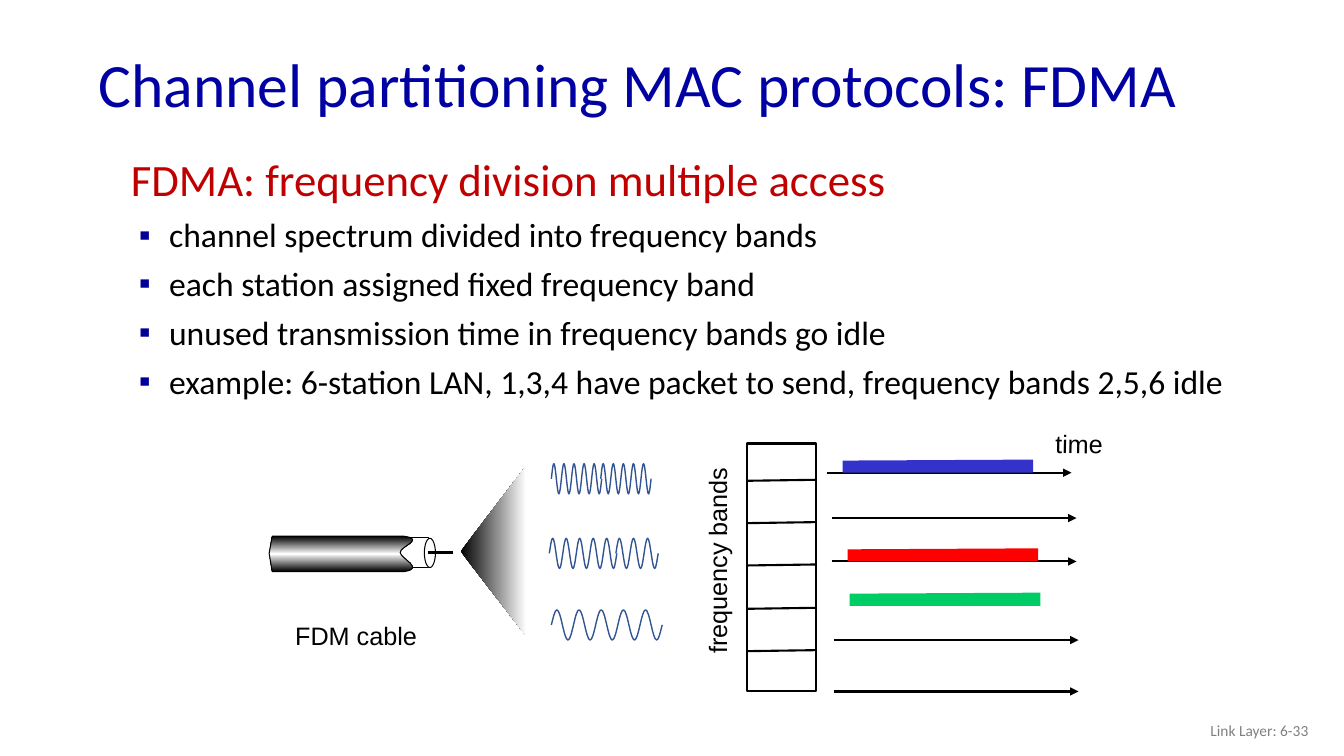
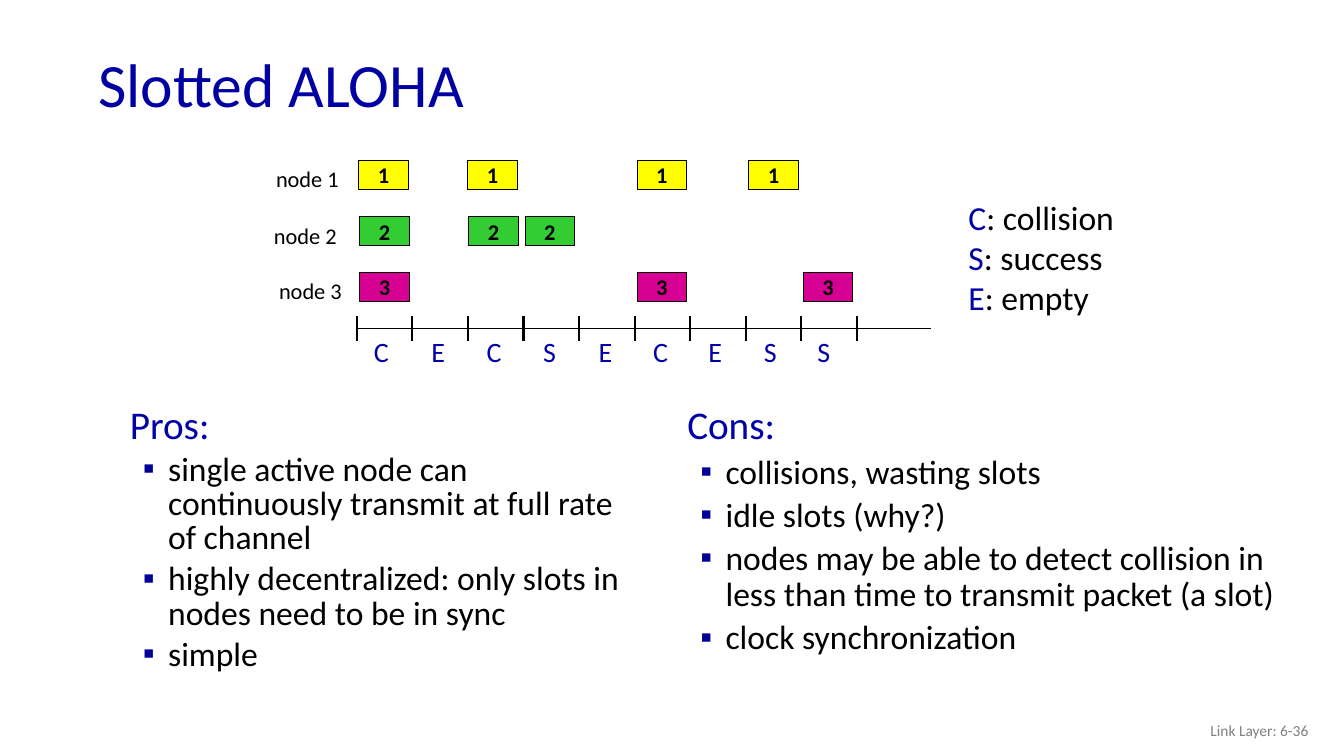
"""Build two lecture slides on channel partitioning and slotted ALOHA."""
import copy

from lxml import etree
from pptx import Presentation
from pptx import util as u
from pptx.dml.color import RGBColor
from pptx.enum import shapes, text
from pptx.oxml import ns

BLACK, WHITE, GREY = "000000", "FFFFFF", "808080"
TITLE_BLUE, ACCENT_BLUE, BULLET_BLUE = "0000A3", "0000A8", "000099"
CRIMSON, WAVE_BLUE = "C00000", "325491"

FDMA_HEADING = "FDMA: frequency division multiple access"
FDMA_POINTS = [
    "channel spectrum divided into frequency bands",
    "each station assigned fixed frequency band",
    "unused transmission time in frequency bands go idle",
    "example: 6-station LAN, 1,3,4 have packet to send, frequency bands 2,5,6 idle",
]
BAND_EDGES = [4.77, 5.19, 5.61, 6.04, 6.46]
TIME_AXES = [(8.2, 4.69), (8.25, 5.14), (8.25, 5.57), (8.27, 6.35), (8.27, 6.86)]
PACKETS = [(8.36, 4.69, "3333CC"), (8.41, 5.57, "FF0000"), (8.43, 6.01, "00CC66")]
WAVES = [
    (5.47, 5.97, 4.75, 5),
    (5.96, 6.46, 4.75, 5),
    (5.45, 6.12, 5.49, 5),
    (6.11, 6.53, 5.49, 3),
    (5.47, 6.57, 6.2, 5),
]
CABLE_SHEATH = [
    (2.7, 5.32), (2.67, 5.49), (2.7, 5.67), (4.01, 5.67),
    [(4.22, 5.64), (3.97, 5.54), (3.97, 5.48)],
    [(3.97, 5.42), (4.22, 5.35), (4.01, 5.32)],
]
DIAGRAM_LABELS = [
    ("frequency bands", (6.09, 5.36, 2.05, 0.4), 270),
    ("time", (10.37, 4.2, 0.67, 0.4), 1.1),
    ("FDM cable", (2.83, 6.1, 1.41, 0.4), 0),
]

NODES = [
    ("1", 2.64, 1.59, "FFFF00", [3.56, 4.64, 6.32, 7.43]),
    ("2", 2.62, 2.15, "33CC33", [3.57, 4.65, 5.21]),
    ("3", 2.67, 2.7, "D60093", [3.57, 6.32, 7.97]),
]
SLOT_RESULTS = [("C", 3.61), ("E", 4.18), ("C", 4.73), ("S", 5.29), ("E", 5.84),
                ("C", 6.38), ("E", 6.93), ("S", 7.48), ("S", 8.01)]
LEGEND = [("C", ": collision"), ("S", ": success"), ("E", ": empty")]
PROS = [
    "single active node can continuously transmit at full rate of channel",
    "highly decentralized: only slots in nodes need to be in sync",
    "simple",
]
CONS = [
    "collisions, wasting slots",
    "idle slots (why?)",
    "nodes may be able to detect collision in less than time to transmit packet (a slot)",
    "clock synchronization",
]


def rgb(value):
    return RGBColor.from_string(value)


def inches(values):
    return [u.Inches(value) for value in values]


def add_bullet(properties):
    colour = etree.SubElement(properties, ns.qn("a:buClr"))
    etree.SubElement(colour, ns.qn("a:srgbClr"), val=BULLET_BLUE)
    etree.SubElement(properties, ns.qn("a:buFont"), typeface="Arial")
    etree.SubElement(properties, ns.qn("a:buChar"), char="▪")


def write(paragraph, content, size=18, font="Calibri", colour=BLACK, bold=False,
          align=None, spacing=None, before=None, hanging=None, bullet=False):
    runs = [(content, colour)] if isinstance(content, str) else content
    for words, run_colour in runs:
        run = paragraph.add_run()
        run.text = words
        run.font.size, run.font.name, run.font.bold = u.Pt(size), font, bold
        run.font.color.rgb = rgb(run_colour)
    paragraph.alignment = align
    paragraph.line_spacing = spacing
    if before is not None:
        paragraph.space_before = u.Pt(before)
    properties = paragraph._p.get_or_add_pPr()
    if hanging:
        properties.set("marL", str(u.Inches(0.38)))
        properties.set("indent", str(-u.Inches(hanging)))
    if bullet:
        add_bullet(properties)


def add_text(slide, at, contents, wrap=False, anchor=text.MSO_ANCHOR.TOP,
             rotation=0, **style):
    box = slide.shapes.add_textbox(*inches(at))
    box.rotation = rotation
    frame = box.text_frame
    frame.word_wrap, frame.vertical_anchor = wrap, anchor
    if not wrap:
        frame.auto_size = text.MSO_AUTO_SIZE.SHAPE_TO_FIT_TEXT
    contents = [contents] if isinstance(contents, str) else contents
    for index, content in enumerate(contents):
        paragraph = frame.add_paragraph() if index else frame.paragraphs[0]
        write(paragraph, content, **style)
    return frame


def add_points(slide, at, heading, points, size, colour, heading_spacing,
               spacing, before, hanging):
    frame = add_text(slide, at, heading, wrap=True, size=size, colour=colour,
                     spacing=heading_spacing, before=size * 0.2, hanging=0.38)
    for point in points:
        write(frame.add_paragraph(), point, size=24, spacing=spacing,
              before=before, hanging=hanging, bullet=True)


def paint(shape, fill=None, line=None, width=0.75):
    shape.shadow.inherit = False
    if fill:
        shape.fill.solid()
        shape.fill.fore_color.rgb = rgb(fill)
    else:
        shape.fill.background()
    if line:
        shape.line.color.rgb, shape.line.width = rgb(line), u.Pt(width)
    else:
        shape.line.fill.background()
    return shape


def add_box(slide, at, fill, line=None, width=0.75, kind=shapes.MSO_SHAPE.RECTANGLE):
    return paint(slide.shapes.add_shape(kind, *inches(at)), fill, line, width)


def add_line(slide, start, end, width=1.5, arrow=False):
    line = slide.shapes.add_connector(
        shapes.MSO_CONNECTOR.STRAIGHT, *inches((*start, *end)))
    line.line.color.rgb, line.line.width = rgb(BLACK), u.Pt(width)
    if arrow:
        etree.SubElement(line.line._get_or_add_ln(), ns.qn("a:tailEnd"), type="triangle")
    etree.SubElement(line._element.spPr, ns.qn("a:effectLst"))


def add_outline(slide, segments, closed=True, **look):
    """Draw points as straight segments and lists of three points as curves."""
    start, *others = segments
    steps = [step if isinstance(step, list) else [step] for step in others]
    builder = slide.shapes.build_freeform(*inches(start))
    builder.add_line_segments([inches(point) for step in steps for point in step],
                              close=closed)
    shape = builder.convert_to_shape()
    drawn = iter(list(shape._element.iter(ns.qn("a:lnTo"))))
    for step in steps:
        parts = [next(drawn) for _ in step]
        if len(parts) == 3:
            bezier = etree.Element(ns.qn("a:cubicBezTo"))
            parts[0].addprevious(bezier)
            for part in parts:
                bezier.append(part[0])
                part.getparent().remove(part)
    return paint(shape, **look)


def fill_gradient(shape, colours, angle):
    fill = shape.fill
    fill.gradient()
    fill.gradient_angle = angle
    stop_list = fill._fill._gradFill.gsLst
    while len(stop_list) < len(colours):
        stop_list.append(copy.deepcopy(stop_list[-1]))
    for index, (stop, colour) in enumerate(zip(fill.gradient_stops, colours)):
        stop.color.rgb = rgb(colour)
        stop.position = index / (len(colours) - 1)


def add_wave(slide, left, right, middle, cycles):
    half = (right - left) / cycles / 2
    turns = [(left + half * (index + 0.5), middle + (0.15 if index % 2 else -0.15))
             for index in range(2 * cycles)]
    stops = [(left, middle), *turns, (right, middle)]
    segments = [stops[0]]
    for index, ((x1, y1), (x2, y2)) in enumerate(zip(stops, stops[1:])):
        reach = (x2 - x1) * 0.36
        lean = (y2 - y1) * 0.5
        leave = y1 + lean if index == 0 else y1
        arrive = y2 - lean if index == 2 * cycles else y2
        segments.append([(x1 + reach, leave), (x2 - reach, arrive), (x2, y2)])
    add_outline(slide, segments, closed=False, line=WAVE_BLUE, width=1)


def add_cable(slide):
    cone = add_outline(slide, [(5.22, 4.62), (4.57, 5.47), (5.22, 6.31)])
    fill_gradient(cone, [BLACK, WHITE], 0)
    add_box(slide, (3.96, 5.33, 0.29, 0.3), WHITE, BLACK)
    sheath = add_outline(slide, CABLE_SHEATH, line=BLACK)
    fill_gradient(sheath, [BLACK, WHITE, BLACK], 90)
    add_box(slide, (4.21, 5.34, 0.11, 0.29), WHITE, BLACK, kind=shapes.MSO_SHAPE.OVAL)
    add_line(slide, (4.25, 5.48), (4.49, 5.48), width=2.25)


def add_slide(presentation, title, number):
    slide = presentation.slides.add_slide(presentation.slide_layouts[6])
    middle = text.MSO_ANCHOR.MIDDLE
    add_text(slide, (0.88, 0.38, 11.5, 0.98), title, wrap=True, anchor=middle,
             size=44, colour=TITLE_BLUE, spacing=0.9)
    add_text(slide, (10.08, 7.05, 3, 0.4), f"Link Layer: 6-{number}", wrap=True,
             anchor=middle, size=11, colour=GREY, align=text.PP_ALIGN.RIGHT)
    return slide


def build_fdma(presentation):
    slide = add_slide(presentation, "Channel partitioning MAC protocols: FDMA", 33)
    add_points(slide, (1.2, 1.54, 11.44, 2.62), FDMA_HEADING, FDMA_POINTS, size=32,
               colour=CRIMSON, heading_spacing=0.85, spacing=None, before=6, hanging=0.3)
    add_box(slide, (7.41, 4.4, 0.69, 2.46), WHITE, BLACK, 1.5)
    for y in BAND_EDGES:
        add_line(slide, (7.41, y), (8.09, y - 0.01))
    for x, y in TIME_AXES:
        add_line(slide, (x, y), (x + 2.43, y), arrow=True)
    for x, y, colour in PACKETS:
        right = x + 1.89
        add_outline(slide, [(x, y), (x, y - 0.12), (right, y - 0.13), (right, y)],
                    closed=False, fill=colour)
    for label, at, rotation in DIAGRAM_LABELS:
        add_text(slide, at, label, font="Arial", rotation=rotation)
    add_cable(slide)
    for wave in WAVES:
        add_wave(slide, *wave)


def build_aloha(presentation):
    slide = add_slide(presentation, "Slotted ALOHA", 36)
    for heading, points, at, spacing in (
            ("Pros:", PROS, (1.19, 3.99, 5.3, 3.5), 0.85),
            ("Cons:", CONS, (6.72, 3.98, 6.1, 3), 0.9)):
        add_points(slide, at, heading, points, size=28, colour=ACCENT_BLUE,
                   heading_spacing=spacing, spacing=spacing, before=4.8, hanging=0.25)

    for node, label_left, y, colour, lefts in NODES:
        add_text(slide, (label_left, y, 0.83, 0.37), f"node {node}", size=16)
        for left in lefts:
            frame = add_box(slide, (left, y, 0.49, 0.29), colour, BLACK).text_frame
            frame.margin_top = frame.margin_bottom = 0
            frame.vertical_anchor = text.MSO_ANCHOR.MIDDLE
            write(frame.paragraphs[0], node, size=16, bold=True,
                  align=text.PP_ALIGN.CENTER)

    axis_left, axis_right, axis_y = 3.54, 8.5, 3.26
    slot_width = (axis_right - axis_left) / len(SLOT_RESULTS)
    add_line(slide, (axis_left, axis_y), (9.24, axis_y), width=0.75)
    for tick in range(len(SLOT_RESULTS) + 1):
        x = axis_left + slot_width * tick
        add_line(slide, (x, axis_y - 0.12), (x, axis_y + 0.12))
    for result, left in SLOT_RESULTS:
        add_text(slide, (left, 3.27, 0.35, 0.44), result, size=20, colour=ACCENT_BLUE)
    legend = [[(letter, ACCENT_BLUE), (meaning, BLACK)] for letter, meaning in LEGEND]
    add_text(slide, (9.51, 1.9, 1.66, 1.31), legend, size=24)


def main():
    presentation = Presentation()
    presentation.slide_width, presentation.slide_height = inches((40 / 3, 7.5))
    build_fdma(presentation)
    build_aloha(presentation)
    presentation.save("out.pptx")


if __name__ == "__main__":
    main()
